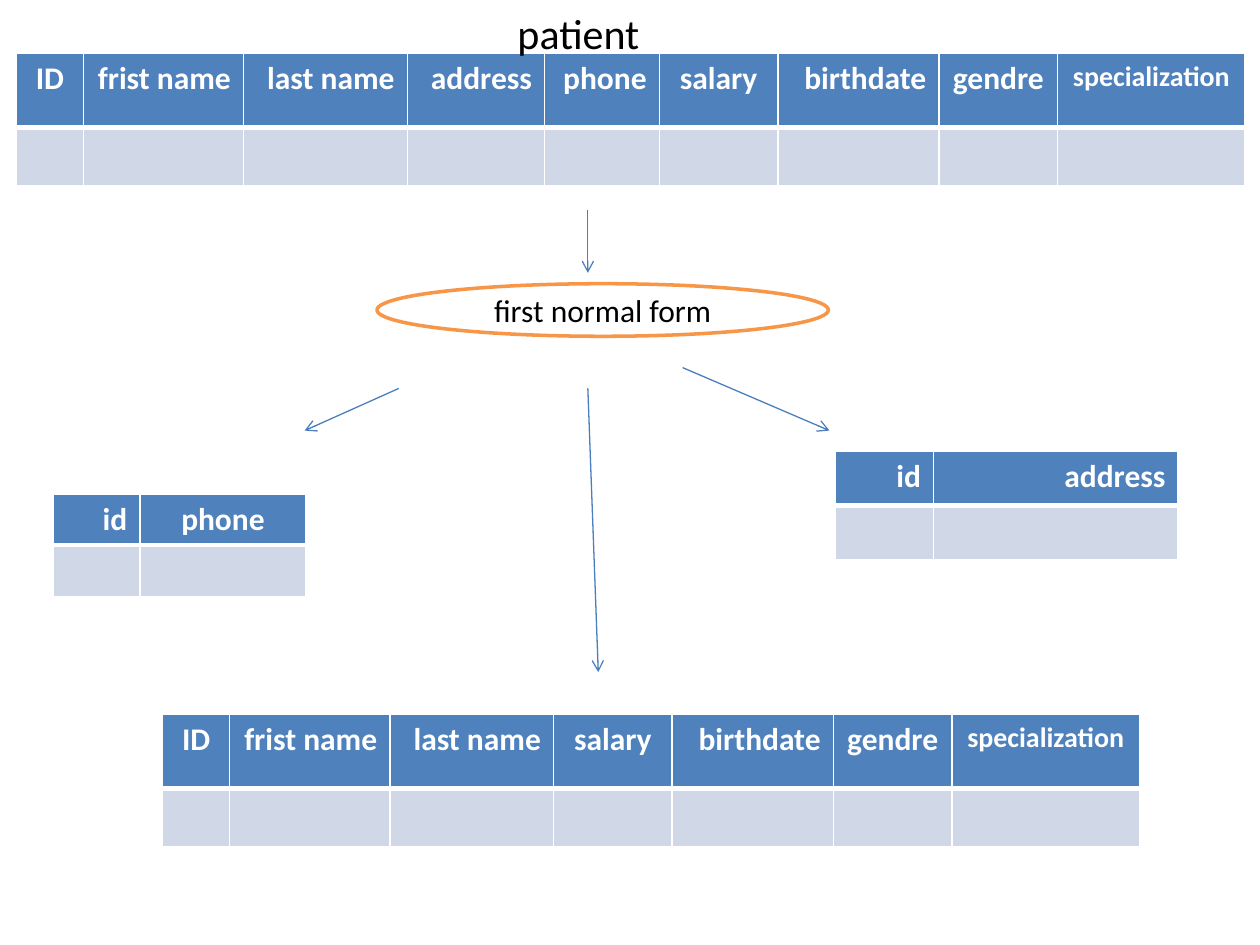
from lxml import etree
from pptx import Presentation
from pptx import util as u
from pptx.dml.color import RGBColor
from pptx.enum import shapes, text
from pptx.oxml.ns import qn

THEME = {
    "font": "Calibri",
    "title": 24, "body": 18, "small": 16,
    "black": RGBColor.from_string("000000"),
    "white": RGBColor.from_string("FFFFFF"),
    "header": RGBColor.from_string("4F81BD"),
    "row": RGBColor.from_string("D0D8E8"),
    "arrow": RGBColor.from_string("4B7EBC"),
    "oval": RGBColor.from_string("F79646"),
}
CENTER, RIGHT = text.PP_ALIGN.CENTER, text.PP_ALIGN.RIGHT


def write(frame, content, size=THEME["body"], color=THEME["black"], bold=False, align=CENTER):
    paragraph = frame.paragraphs[0]
    paragraph.alignment = align
    paragraph._p.get_or_add_pPr().set("rtl", "1")
    run = paragraph.add_run()
    run.text = content
    run.font.name = THEME["font"]
    run.font.size = u.Pt(size)
    run.font.bold = bold
    run.font.color.rgb = color


def border(cell, side, points):
    properties = cell._tc.get_or_add_tcPr()
    line = etree.SubElement(properties, qn("a:ln" + side), w=str(u.Pt(points)))
    fill = etree.SubElement(line, qn("a:solidFill"))
    etree.SubElement(fill, qn("a:srgbClr"), val=str(THEME["white"]))


presentation = Presentation()
presentation.slide_width, presentation.slide_height = u.Cm(25.4), u.Cm(19.05)
slide = presentation.slides.add_slide(presentation.slide_layouts[6])

# Columns: name, width, alignment
patient_id = ("ID", 1.35, CENTER)
names = [("frist name", 3.23, RIGHT), ("last name", 3.3, RIGHT)]
contact = [("address", 2.77, RIGHT), ("phone", 2.31, RIGHT)]
details = [("salary", 2.39, CENTER), ("birthdate", 3.25, RIGHT),
           ("gendre", 2.39, CENTER), ("specialization", 3.78, CENTER)]

# Tables: left, top, row heights, columns
tables = [
    (0.33, 1.07, (1.5, 1.17), [patient_id, *names, *contact, *details]),
    (16.84, 9.09, (1.1, 1.1), [("id", 1.98, RIGHT), ("address", 4.93, RIGHT)]),
    (3.28, 14.4, (1.5, 1.17), [patient_id, *names, *details]),
    (1.07, 9.96, (0.97, 1.02), [("id", 1.75, RIGHT), ("phone", 3.35, CENTER)]),
]
for left, top, heights, columns in tables:
    width = sum(column[1] for column in columns)
    table = slide.shapes.add_table(2, len(columns), u.Cm(left), u.Cm(top),
                                   u.Cm(width), u.Cm(sum(heights))).table
    for row, height in zip(table.rows, heights):
        row.height = u.Cm(height)
    for index, (name, column_width, align) in enumerate(columns):
        table.columns[index].width = u.Cm(column_width)
        header, body = table.cell(0, index), table.cell(1, index)
        size = THEME["small"] if name == "specialization" else THEME["body"]
        write(header.text_frame, name, size=size, color=THEME["white"], bold=True, align=align)
        for cell, color, top_line, bottom_line in (
                (header, THEME["header"], 1, 3), (body, THEME["row"], 3, 1)):
            for side, points in (("L", 1), ("R", 1), ("T", top_line), ("B", bottom_line)):
                border(cell, side, points)
            cell.fill.solid()
            cell.fill.fore_color.rgb = color

# Title
title = slide.shapes.add_textbox(u.Cm(8.89), u.Cm(0.03), u.Cm(5.54), u.Cm(1.27))
title.text_frame.word_wrap = True
write(title.text_frame, "patient", size=THEME["title"])

# Normal form oval
oval = slide.shapes.add_shape(shapes.MSO_SHAPE.OVAL, u.Cm(7.6), u.Cm(5.72), u.Cm(9.1), u.Cm(1.06))
oval.shadow.inherit = False
oval.fill.solid()
oval.fill.fore_color.rgb = THEME["white"]
oval.line.color.rgb = THEME["oval"]
oval.line.width = u.Pt(2)
oval.text_frame.vertical_anchor = text.MSO_ANCHOR.MIDDLE
write(oval.text_frame, "first normal form")

# Arrows: start x, start y, end x, end y
arrows = [
    (11.85, 4.23, 11.85, 5.5),
    (8.04, 7.83, 6.14, 8.68),
    (13.76, 7.41, 16.72, 8.68),
    (11.85, 7.83, 12.06, 13.55),
]
for points in arrows:
    arrow = slide.shapes.add_connector(shapes.MSO_CONNECTOR.STRAIGHT, *map(u.Cm, points))
    arrow.line.color.rgb = THEME["arrow"]
    arrow.line.width = u.Pt(0.75)
    etree.SubElement(arrow.line._get_or_add_ln(), qn("a:tailEnd"), type="arrow")
    etree.SubElement(arrow._element.spPr, qn("a:effectLst"))

presentation.save("out.pptx")
